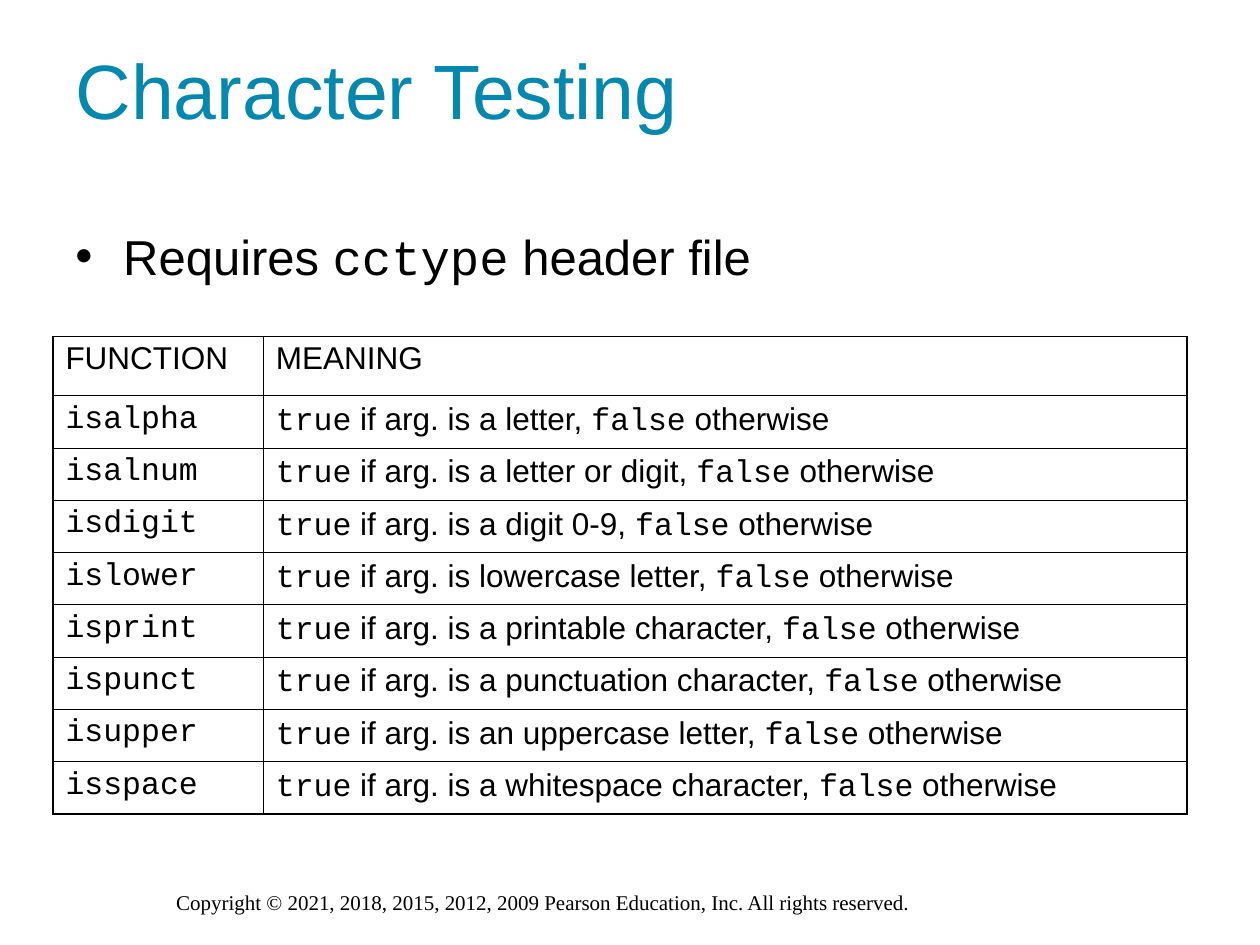
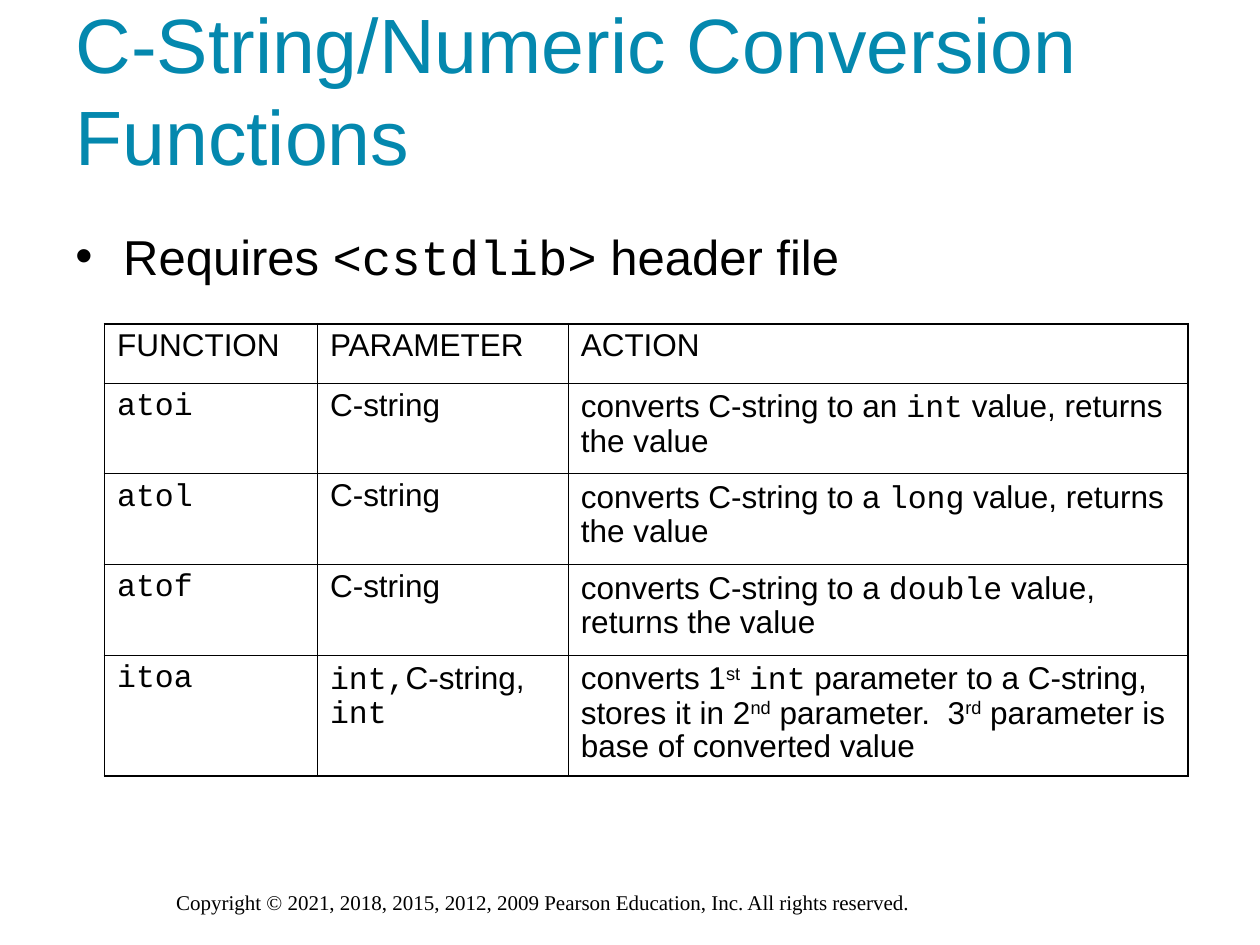
"""Build two slides on C++ library functions, each with a bullet and a table."""
from dataclasses import dataclass
from typing import Iterator

from lxml import etree
from pptx import Presentation
from pptx.dml.color import RGBColor
from pptx.enum.text import MSO_ANCHOR, MSO_AUTO_SIZE, PP_ALIGN
from pptx.oxml.ns import qn
from pptx.util import Inches, Length, Pt

LEFT = PP_ALIGN.LEFT
MIDDLE = MSO_ANCHOR.MIDDLE
NO_FIT, GROW = MSO_AUTO_SIZE.NONE, MSO_AUTO_SIZE.SHAPE_TO_FIT_TEXT
COLORS = {"title": "0488AE", "text": "000000", "page": "FFFFFF"}
SANS, MONO, SERIF = "Arial", "Courier New", "Times New Roman"
WIDTH, HEIGHT = Inches(10), Inches(7.5)
COLS, ROWS = 100, 75
THICK, THIN = Pt(1.08), Pt(0.45)
HEAD_ROW = 4.7
NOTICE = ("Copyright © 2021, 2018, 2015, 2012, 2009 Pearson Education, Inc. "
          "All rights reserved.")


@dataclass(frozen=True)
class Box:
    """Place on the page grid, in columns and rows."""
    left: float
    top: float
    width: float
    height: float

    def place(self) -> tuple[Length, Length, Length, Length]:
        """Return the box as slide lengths."""
        return across(self.left), down(self.top), across(self.width), down(self.height)


@dataclass(frozen=True)
class Page:
    """Text and table layout of one slide, with `code` and ^raised^ marks."""
    title: str
    bullet: str
    left: float
    top: float
    widths: list[float]
    heights: list[float]
    cells: list[list[str]]


TITLE = Box(5, 0.8, 83.3, 12.5)
BULLET = Box(5, 17.5, 87, 6)
FOOTER = Box(13, 70.1, 74.2, 3)

TESTS = {
    "isalpha": "a letter",
    "isalnum": "a letter or digit",
    "isdigit": "a digit 0-9",
    "islower": "lowercase letter",
    "isprint": "a printable character",
    "ispunct": "a punctuation character",
    "isupper": "an uppercase letter",
    "isspace": "a whitespace character",
}
CASTS = {"atoi": "an `int`", "atol": "a `long`", "atof": "a `double`"}

PAGES = [
    Page("Character Testing", "Requires `cctype` header file",
         4.2, 26.7, [16.7, 73.3], [HEAD_ROW] + [4.15] * len(TESTS),
         [["FUNCTION", "MEANING"]]
         + [[f"`{name}`", f"`true` if arg. is {kind}, `false` otherwise"]
            for name, kind in TESTS.items()]),
    Page("C-String/Numeric Conversion Functions",
         "Requires `<cstdlib>` header file",
         8.3, 25.7, [16.9, 19.9, 49.2], [HEAD_ROW] + [7.2] * len(CASTS) + [9.6],
         [["FUNCTION", "PARAMETER", "ACTION"]]
         + [[f"`{name}`", "C-string",
             f"converts C-string to {kind} value, returns the value"]
            for name, kind in CASTS.items()]
         + [["`itoa`", "`int,`C-string, `int`",
             "converts 1^st^ `int` parameter to a C-string, stores it in "
             "2^nd^ parameter.  3^rd^ parameter is base of converted value"]]),
]


def across(cols: float) -> Length:
    """Turn grid columns into a length."""
    return Length(round(WIDTH * cols / COLS))


def down(rows: float) -> Length:
    """Turn grid rows into a length."""
    return Length(round(HEIGHT * rows / ROWS))


def style(font, face: str, size: float, color: str) -> None:
    """Set the face, size and colour of a font."""
    font.name, font.size = face, Pt(size)
    font.color.rgb = RGBColor.from_string(COLORS[color])


def pieces(text: str) -> Iterator[tuple[str, bool, bool]]:
    """Split marked text into parts, telling code and raised ones."""
    for i, chunk in enumerate(text.split("`")):
        for j, part in enumerate(chunk.split("^")):
            if part:
                yield part, i % 2 == 1, j % 2 == 1


def write(para, text: str, size: float) -> None:
    """Fill a paragraph with marked text."""
    for part, code, raised in pieces(text):
        run = para.add_run()
        run.text = part
        style(run.font, MONO if code else SANS, size, "text")
        if raised:
            run._r.get_or_add_rPr().set("baseline", "30000")


def solid(parent, color: str) -> None:
    """Add a plain colour fill to an XML element."""
    fill = etree.SubElement(parent, qn("a:solidFill"))
    etree.SubElement(fill, qn("a:srgbClr"), val=COLORS[color])


def add_title(slide, text: str) -> None:
    """Place and format the title."""
    title = slide.shapes.title
    title.left, title.top, title.width, title.height = TITLE.place()
    frame = title.text_frame
    frame.text = text
    frame.word_wrap, frame.auto_size = True, NO_FIT
    frame.vertical_anchor = MIDDLE
    para = frame.paragraphs[0]
    para.alignment = LEFT
    style(para.runs[0].font, SANS, 44, "title")


def add_bullet(slide, text: str) -> None:
    """Draw the bullet line."""
    frame = slide.shapes.add_textbox(*BULLET.place()).text_frame
    frame.word_wrap = True
    para = frame.paragraphs[0]
    props = para._p.get_or_add_pPr()
    indent = across(3.8)
    props.set("marL", str(indent))
    props.set("indent", str(-indent))
    tint = etree.SubElement(props, qn("a:buClr"))
    etree.SubElement(tint, qn("a:srgbClr"), val=COLORS["text"])
    etree.SubElement(props, qn("a:buFont"), typeface=SANS)
    etree.SubElement(props, qn("a:buChar"), char="•")
    write(para, text, 28)


def add_footer(slide) -> None:
    """Draw the copyright line."""
    frame = slide.shapes.add_textbox(*FOOTER.place()).text_frame
    frame.word_wrap, frame.auto_size = True, GROW
    frame.text = NOTICE
    style(frame.paragraphs[0].runs[0].font, SERIF, 12, "text")


def add_edges(cell, outer: dict[str, bool]) -> None:
    """Draw cell borders, thick on the outer sides."""
    props = cell._tc.get_or_add_tcPr()
    for side, thick in outer.items():
        line = etree.SubElement(props, qn(f"a:ln{side}"), w=str(THICK if thick else THIN))
        solid(line, "text")


def add_grid(slide, page: Page) -> None:
    """Draw the table of functions."""
    box = Box(page.left, page.top, sum(page.widths), sum(page.heights))
    last_row, last_col = len(page.heights) - 1, len(page.widths) - 1
    table = slide.shapes.add_table(last_row + 1, last_col + 1, *box.place()).table
    table.first_row = table.horz_banding = False
    for col, width in zip(table.columns, page.widths):
        col.width = across(width)
    for row, height in zip(table.rows, page.heights):
        row.height = down(height)
    for r, texts in enumerate(page.cells):
        for c, text in enumerate(texts):
            cell = table.cell(r, c)
            add_edges(cell, {"L": c == 0, "R": c == last_col,
                             "T": r == 0, "B": r == last_row})
            cell.fill.background()
            para = cell.text_frame.paragraphs[0]
            para.line_spacing = 0.95
            write(para, text, 18)


def add_page(deck, page: Page) -> None:
    """Add one whole slide."""
    slide = deck.slides.add_slide(deck.slide_layouts.get_by_name("Title Only"))
    back = slide.background.fill
    back.solid()
    back.fore_color.rgb = RGBColor.from_string(COLORS["page"])
    add_footer(slide)
    add_title(slide, page.title)
    add_bullet(slide, page.bullet)
    add_grid(slide, page)


def main() -> None:
    """Build and save the deck."""
    deck = Presentation()
    deck.slide_width, deck.slide_height = WIDTH, HEIGHT
    for page in PAGES:
        add_page(deck, page)
    deck.save("out.pptx")


if __name__ == "__main__":
    main()
